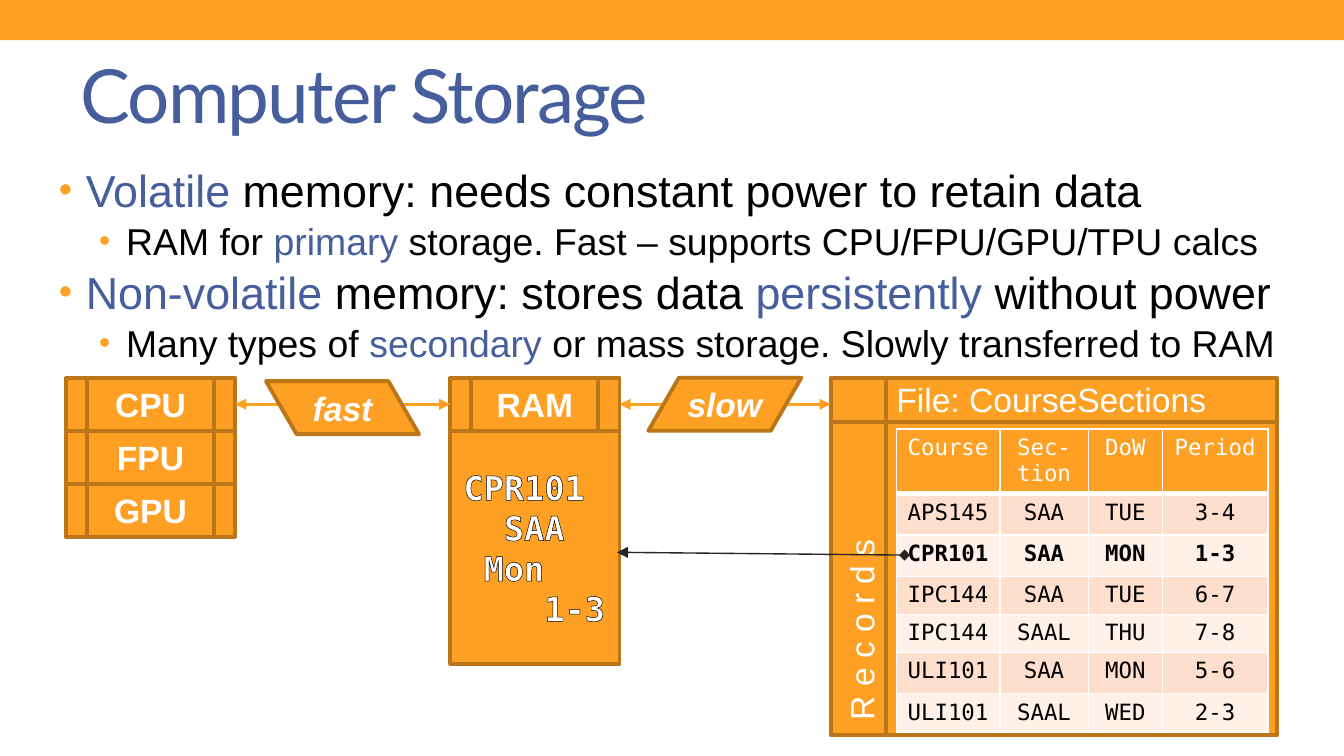
from dataclasses import dataclass

from lxml import etree
from pptx import Presentation
from pptx.dml.color import RGBColor
from pptx.enum.shapes import MSO_CONNECTOR, MSO_SHAPE
from pptx.enum.text import MSO_ANCHOR, PP_ALIGN
from pptx.oxml.ns import qn
from pptx.util import Pt

RECT = MSO_SHAPE.RECTANGLE
UNIT = MSO_SHAPE.FLOWCHART_PREDEFINED_PROCESS
STORE = MSO_SHAPE.FLOWCHART_INTERNAL_STORAGE
SLANT = MSO_SHAPE.FLOWCHART_DATA
LINE = MSO_CONNECTOR.STRAIGHT
LEFT, CENTER = PP_ALIGN.LEFT, PP_ALIGN.CENTER
TOP, MIDDLE = MSO_ANCHOR.TOP, MSO_ANCHOR.MIDDLE


@dataclass(frozen=True)
class Theme:
    orange: str = "FDA023"
    edge: str = "BB761A"
    blue: str = "465E9C"
    black: str = "000000"
    white: str = "FFFFFF"
    ink: str = "262626"
    bands: tuple = ("FEDFCD", "FFF0E8")
    head: str = "Lato"
    sans: str = "Arial"
    mono: str = "DejaVu Sans Mono"
    title: int = 40
    levels: tuple = (24, 20)
    label: int = 18
    cell: int = 12


@dataclass(frozen=True)
class Box:
    left: float
    top: float
    width: float
    height: float

    def dims(self) -> tuple:
        return tuple(Pt(v) for v in (self.left, self.top, self.width, self.height))


@dataclass(frozen=True)
class Node:
    kind: int
    box: Box
    text: str = ""
    italic: bool = False
    flip: bool = False


@dataclass(frozen=True)
class Point:
    level: int
    text: str  # every second part between bars is in the accent colour


T = Theme()
POINTS = (
    Point(0, "|Volatile| memory: needs constant power to retain data"),
    Point(1, "RAM for |primary| storage. Fast – supports CPU/FPU/GPU/TPU calcs"),
    Point(0, "|Non-volatile| memory: stores data |persistently |without power"),
    Point(1, "Many types of |secondary| or mass storage. Slowly transferred to RAM"),
)
UNIT_W, UNIT_H, UNIT_TOP = 90.7, 28.4, 202.4
CPU_X, RAM_X = 35.3, 241.2
UNITS = [
    Node(UNIT, Box(CPU_X, UNIT_TOP + i * UNIT_H, UNIT_W, UNIT_H), name)
    for i, name in enumerate(("CPU", "FPU", "GPU"))
]
RAM = Node(UNIT, Box(RAM_X, UNIT_TOP, UNIT_W, UNIT_H), "RAM")
CELLS = Node(RECT, Box(RAM_X, 231, UNIT_W, 124.6))
FILE = Node(STORE, Box(445, UNIT_TOP, 239, 191.5))
FAST = Node(SLANT, Box(142.5, 204.2, 82, UNIT_H), "fast", True, True)
SLOW = Node(SLANT, Box(347.3, UNIT_TOP, 82, UNIT_H), "slow", True)
RECORD = (("CPR101", 0), ("SAA", 2), ("Mon", 1), ("1-3", 4))
CHAR = 10.84  # width of one monospaced letter
COLS = (55.4, 47.5, 39.6, 56.6)
ROWS = (33.9, 22.2, 22.1, 19.8, 19.8, 22.1, 20.6)
DATA = (
    ("Course", "Sec-tion", "DoW", "Period"),
    ("APS145", "SAA", "TUE", "3-4"),
    ("CPR101", "SAA", "MON", "1-3"),
    ("IPC144", "SAA", "TUE", "6-7"),
    ("IPC144", "SAAL", "THU", "7-8"),
    ("ULI101", "SAA", "MON", "5-6"),
    ("ULI101", "SAAL", "WED", "2-3"),
)
LOADED = 2


def rgb(code: str) -> RGBColor:
    return RGBColor.from_string(code)


def child(node, tag: str, **attrs):
    return etree.SubElement(node, qn(tag), attrs)


def style(font, size: float, color: str, face: str, bold=False, italic=False) -> None:
    font.size, font.name, font.bold, font.italic = Pt(size), face, bold, italic
    font.color.rgb = rgb(color)


def inset(frame, side: float, end: float) -> None:
    frame.margin_left = frame.margin_right = Pt(side)
    frame.margin_top = frame.margin_bottom = Pt(end)


def paint(shape, edge: str = "") -> None:
    shape.shadow.inherit = False
    shape.fill.solid()
    shape.fill.fore_color.rgb = rgb(T.orange)
    if edge:
        shape.line.color.rgb = rgb(edge)
        shape.line.width = Pt(2.08)
    else:
        shape.line.fill.background()


def draw(slide, node: Node):
    shape = slide.shapes.add_shape(node.kind, *node.box.dims())
    paint(shape, T.edge)
    if node.flip:
        shape._element.spPr.xfrm.set("flipH", "1")
    if node.text:
        frame = shape.text_frame
        frame.vertical_anchor = MIDDLE
        inset(frame, 3, 3.6)
        para = frame.paragraphs[0]
        para.text, para.alignment = node.text, CENTER
        style(para.font, T.label, T.white, T.sans, True, node.italic)
    return shape


def link(slide, start: tuple, end: tuple, color: str, width: float, head="triangle"):
    line = slide.shapes.add_connector(LINE, *(Pt(v) for v in start + end))
    line.line.color.rgb = rgb(color)
    line.line.width = Pt(width)
    ln = line.line._get_or_add_ln()
    child(ln, "a:headEnd", type=head)
    child(ln, "a:tailEnd", type="triangle")
    child(line._element.spPr, "a:effectLst")
    return line


def label(slide, box: Box, text: str, turn: str = "horz") -> None:
    frame = slide.shapes.add_textbox(*box.dims()).text_frame
    frame.word_wrap, frame.vertical_anchor = True, MIDDLE
    inset(frame, 0, 0)
    frame._txBody.bodyPr.set("vert", turn)
    para = frame.paragraphs[0]
    para.text = text
    style(para.font, T.label, T.white, T.sans)


def title(slide) -> None:
    bar = slide.shapes.add_shape(RECT, *Box(0, 0, 720, 21.6).dims())
    paint(bar)
    shape = slide.shapes.title
    shape.left, shape.top, shape.width, shape.height = Box(36, 21, 648, 58.3).dims()
    shape.text_frame.vertical_anchor = MIDDLE
    para = shape.text_frame.paragraphs[0]
    para.text, para.alignment = "Computer Storage", LEFT
    style(para.font, T.title, T.blue, T.head)
    para.runs[0].font._element.set("spc", "-100")


def bullets(slide) -> None:
    frame = slide.shapes.add_textbox(*Box(24.5, 83.5, 681, 118).dims()).text_frame
    frame.word_wrap = True
    for i, point in enumerate(POINTS):
        para = frame.add_paragraph() if i else frame.paragraphs[0]
        para.level, para.space_before = point.level, Pt(1)
        props = para._p.get_or_add_pPr()
        props.set("marL", str(Pt(14.4 + 21.6 * point.level)))
        props.set("indent", str(-Pt(14.4)))
        child(child(props, "a:buClr"), "a:srgbClr", val=T.orange)
        child(props, "a:buSzPct", val="85000")
        child(props, "a:buFont", typeface=T.sans)
        child(props, "a:buChar", char="•")
        for j, part in enumerate(point.text.split("|")):
            if part:
                run = para.add_run()
                run.text = part
                color = T.blue if j % 2 else T.black
                style(run.font, T.levels[point.level], color, T.sans)


def record(shape) -> None:
    """Write the loaded record into memory as outlined, stepped lines."""
    frame = shape.text_frame
    frame.vertical_anchor = MIDDLE
    for i, (text, step) in enumerate(RECORD):
        para = frame.add_paragraph() if i else frame.paragraphs[0]
        para.text, para.alignment = text, LEFT
        para._p.get_or_add_pPr().set("marL", str(Pt(step * CHAR)))
        style(para.font, T.label, T.white, T.mono, True)
        ln = child(para.runs[0].font._element, "a:ln", w=str(Pt(0.75)))
        child(child(ln, "a:solidFill"), "a:srgbClr", val=T.black)


def border(cell, head: bool, first: bool) -> None:
    props = cell._tc.get_or_add_tcPr()
    widths = (1, 1, 3 if first else 1, 3 if head else 1)
    for i, (side, width) in enumerate(zip("LRTB", widths)):
        ln = child(props, f"a:ln{side}", w=str(Pt(width)))
        child(child(ln, "a:solidFill"), "a:srgbClr", val=T.white)
        props.insert(i, ln)


def courses(slide) -> None:
    box = Box(480.2, 229.7, sum(COLS), sum(ROWS))
    table = slide.shapes.add_table(len(ROWS), len(COLS), *box.dims()).table
    table.first_row = table.horz_banding = False
    for col, width in zip(table.columns, COLS):
        col.width = Pt(width)
    for r, (row, height) in enumerate(zip(table.rows, ROWS)):
        row.height = Pt(height)
        for cell, text in zip(row.cells, DATA[r]):
            inset(cell, 3, 3)
            cell.vertical_anchor = TOP
            cell.fill.solid()
            cell.fill.fore_color.rgb = rgb(T.bands[(r - 1) % 2] if r else T.orange)
            border(cell, r == 0, r == 1)
            para = cell.text_frame.paragraphs[0]
            para.text, para.alignment = text, CENTER
            style(para.font, T.cell, T.black if r else T.white, T.mono, r == LOADED)


def main() -> None:
    deck = Presentation()
    deck.slide_width, deck.slide_height = Pt(720), Pt(405)
    slide = deck.slides.add_slide(deck.slide_layouts[5])
    title(slide)
    bullets(slide)
    cpu = [draw(slide, node) for node in UNITS][0]
    record(draw(slide, CELLS))
    draw(slide, FILE)
    ram = draw(slide, RAM)
    mid = UNIT_TOP + UNIT_H / 2
    bus = link(slide, (CPU_X + UNIT_W, mid), (RAM_X, mid), T.orange, 1.75)
    bus.begin_connect(cpu, 3)
    bus.end_connect(ram, 1)
    feed = link(slide, (RAM_X + UNIT_W, mid), (FILE.box.left, mid), T.orange, 1.75)
    feed.begin_connect(ram, 3)
    draw(slide, FAST)
    draw(slide, SLOW)
    label(slide, Box(480.2, 202.4, 170, 23), "File: CourseSections")
    label(slide, Box(450, 231, 22.3, 160), " R e c o r d s", "vert270")
    courses(slide)
    link(slide, (484.6, 297.4), (330.5, 295.9), T.ink, 0.75, "diamond")
    deck.save("out.pptx")


if __name__ == "__main__":
    main()
